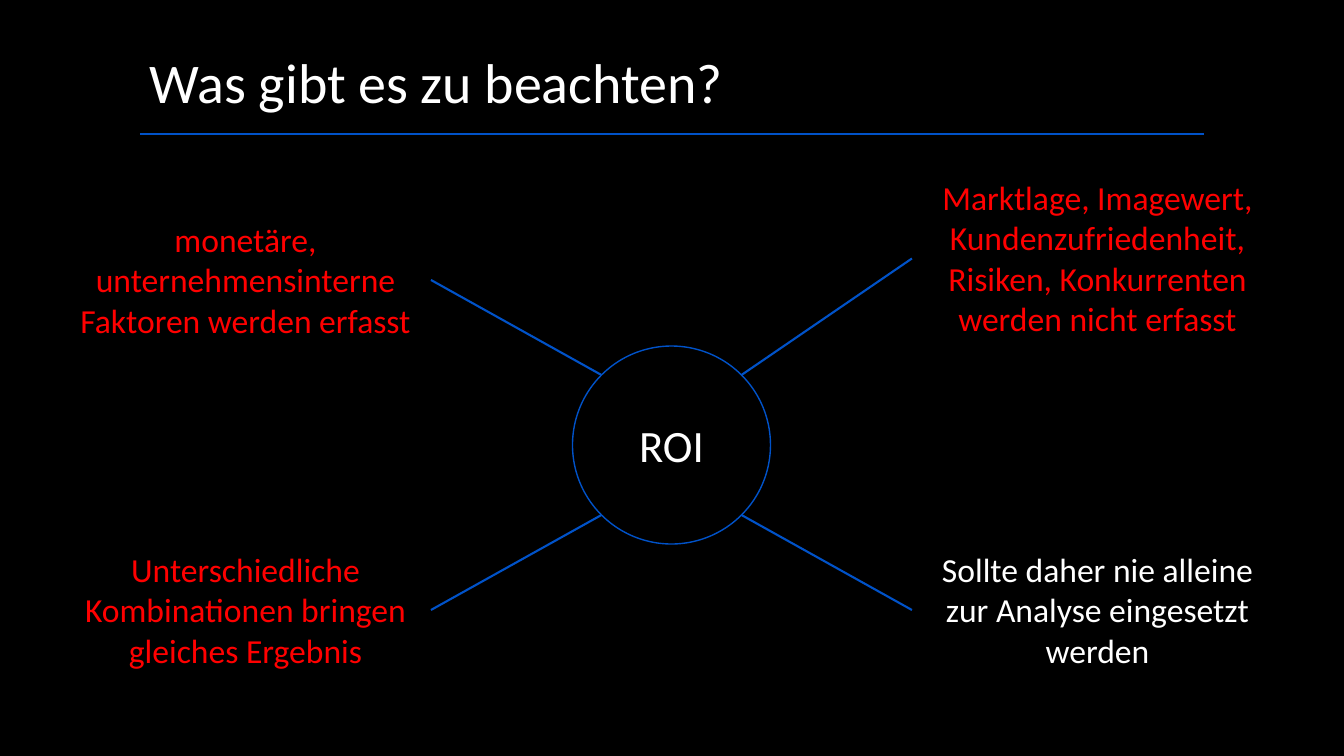
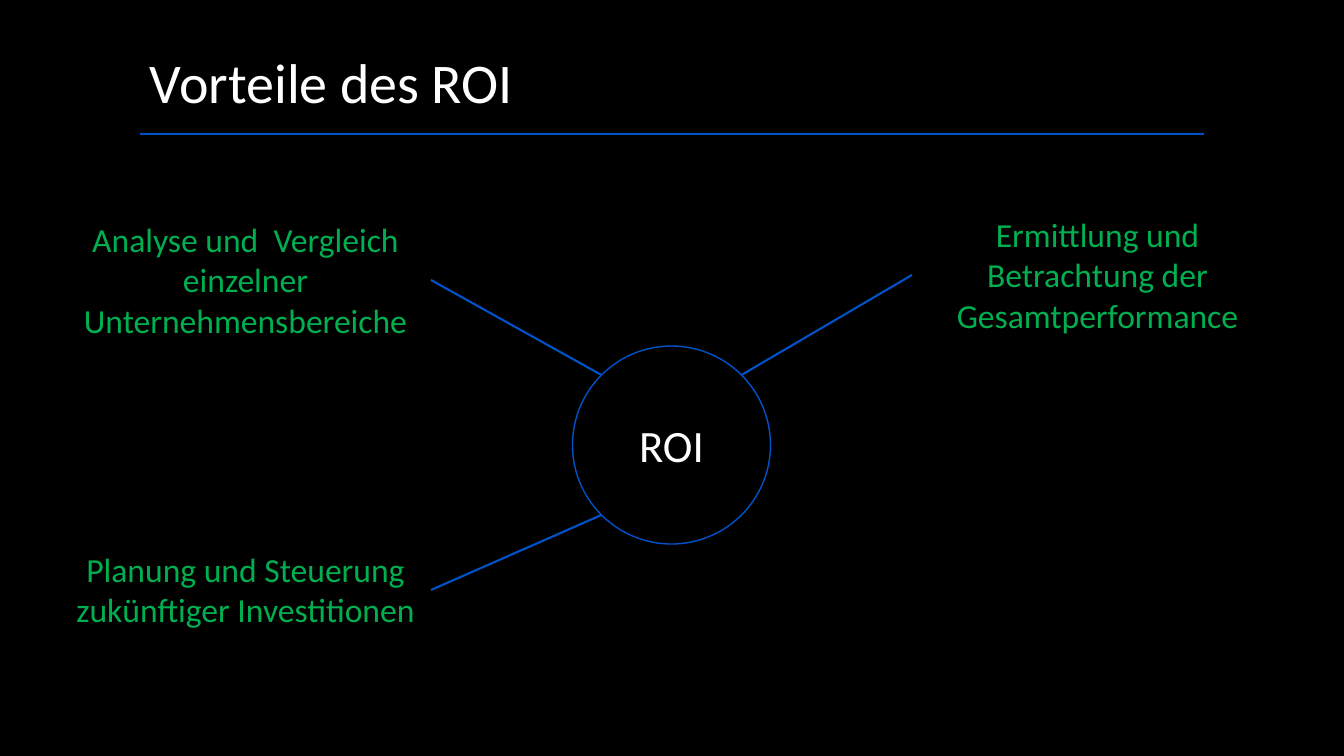
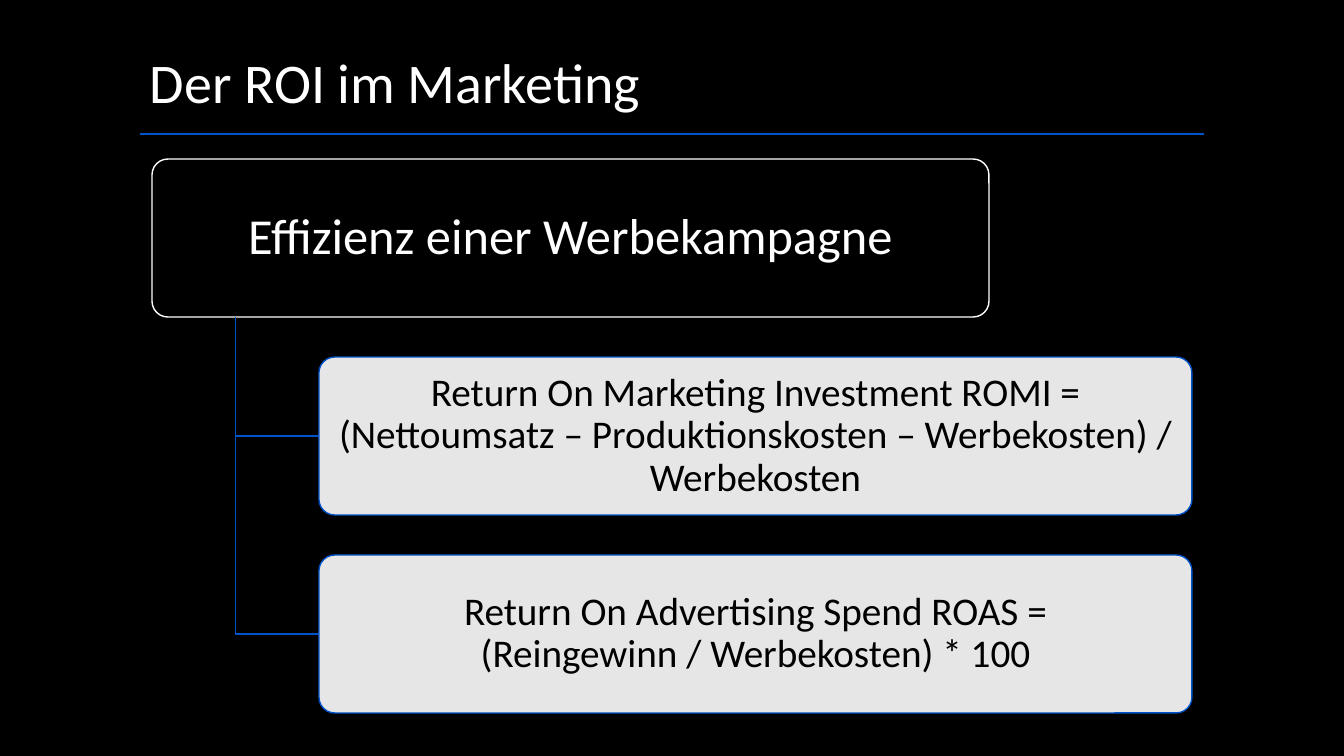
from collections import namedtuple
from math import sqrt

from lxml.etree import SubElement
from pptx import Presentation
from pptx.dml.color import RGBColor
from pptx.enum.shapes import MSO_CONNECTOR, MSO_SHAPE
from pptx.enum.text import MSO_ANCHOR, MSO_AUTO_SIZE, PP_ALIGN
from pptx.oxml.ns import qn
from pptx.util import Inches, Pt

Box = namedtuple("Box", "left top width height")

PX = Inches(7.5) / 756
BLACK = RGBColor(0x00, 0x00, 0x00)
WHITE = RGBColor(0xFF, 0xFF, 0xFF)
BLUE = RGBColor(0x00, 0x52, 0xC8)
RED = RGBColor(0xFF, 0x00, 0x00)
GREEN = RGBColor(0x00, 0xB0, 0x50)
FONT = "Calibri"

HEADER = Box(140, 43, 1064, 91)
TITLE_SIZE = (816, 78)
MAP = Box(60, 172, 1223, 546)
NOTE_WIDTH = 371
HUB = 198
TREE = Box(152, 159, 1040, 554)
CARD_HEIGHT = 158
CARD_GAP = 40
GROWING = {"word_wrap": True, "auto_size": MSO_AUTO_SIZE.SHAPE_TO_FIT_TEXT}


def px(length):
    """Turn px into EMU."""
    return round(length * PX)


def emu(box):
    """Turn a box in px into EMU lengths."""
    return [px(length) for length in box]


def apply(target, values):
    """Set each named value on the target."""
    for name, value in values.items():
        setattr(target, name, value)


def write(shape, text, size, color, frame_format, paragraph_format):
    """Write one formatted paragraph into a shape."""
    apply(shape.text_frame, frame_format)
    paragraph = shape.text_frame.paragraphs[0]
    paragraph.text = text
    apply(paragraph, paragraph_format)
    for run in paragraph.runs:
        apply(run.font, {"name": FONT, "size": Pt(size)})
        run.font.color.rgb = color


def outline(shape, color):
    """Give a shape a thin outline and no shadow."""
    shape.shadow.inherit = False
    shape.line.color.rgb = color
    shape.line.width = Pt(1)


def add_line(slide, start, end):
    """Draw a straight blue line between two points."""
    line = slide.shapes.add_connector(MSO_CONNECTOR.STRAIGHT, *emu(start), *emu(end))
    line.line.color.rgb = BLUE
    line.line.width = Pt(1.5)
    SubElement(line._element.spPr, qn("a:effectLst"))
    return line


def add_header(slide, box, title):
    """Place the title above its rule."""
    rule_y = box.top + box.height
    add_line(slide, (box.left, rule_y), (box.left + box.width, rule_y))
    heading = slide.shapes.add_textbox(*emu((box.left, box.top, *TITLE_SIZE)))
    write(heading, title, 40, WHITE, GROWING, {"alignment": PP_ALIGN.LEFT})


def add_hub(slide, box, label):
    """Place the labelled circle in the middle of the box."""
    left = box.left + (box.width - HUB) / 2
    top = box.top + (box.height - HUB) / 2
    hub = slide.shapes.add_shape(MSO_SHAPE.OVAL, *emu((left, top, HUB, HUB)))
    hub.fill.background()
    outline(hub, BLUE)
    write(hub, label, 32, WHITE, {"vertical_anchor": MSO_ANCHOR.MIDDLE},
          {"alignment": PP_ALIGN.CENTER})


def add_note(slide, box, side, half, top, height, text, color):
    """Place a note in one corner and join it to the hub."""
    left = box.left if side < 0 else box.left + box.width - NOTE_WIDTH
    note = slide.shapes.add_textbox(*emu((left, box.top + top, NOTE_WIDTH, height)))
    write(note, text, 24, color, GROWING, {"alignment": PP_ALIGN.CENTER})
    reach = HUB / 2 / sqrt(2)
    hub_point = (box.left + box.width / 2 + side * reach,
                 box.top + box.height / 2 + half * reach)
    spoke = add_line(slide, (left, box.top + top), hub_point)
    spoke.begin_connect(note, 3 if side < 0 else 1)


def add_map_slide(slide, box, notes):
    """Place the hub and the notes around it."""
    add_hub(slide, box, "ROI")
    for note in notes:
        add_note(slide, box, *note)


def add_card(slide, box, text, size, color, line_color, margins):
    """Place a rounded card with centred text."""
    card = slide.shapes.add_shape(MSO_SHAPE.ROUNDED_RECTANGLE, *emu(box))
    card.adjustments[0] = 0.1
    card.fill.background()
    outline(card, line_color)
    across, down = emu(margins)
    write(card, text, size, color,
          {"word_wrap": True, "vertical_anchor": MSO_ANCHOR.MIDDLE,
           "margin_left": across, "margin_right": across,
           "margin_top": down, "margin_bottom": down},
          {"alignment": PP_ALIGN.CENTER, "line_spacing": 0.9})
    return card


def add_branch(slide, trunk_x, trunk_top, box):
    """Draw the elbow from the trunk to the left side of a card."""
    middle = box.top + box.height / 2
    builder = slide.shapes.build_freeform(*emu((trunk_x, trunk_top)))
    builder.add_line_segments(
        [emu((trunk_x, middle)), emu((box.left, middle))], close=False)
    branch = builder.convert_to_shape()
    branch.fill.background()
    outline(branch, BLUE)


def add_tree_slide(slide, box, topic, formulas):
    """Place the topic card with its formula cards below."""
    root = Box(box.left, box.top, 837, CARD_HEIGHT)
    add_card(slide, root, topic, 36, WHITE, WHITE, (7, 5))
    indent = 167
    for row, formula in enumerate(formulas, 1):
        leaf = Box(box.left + indent, box.top + row * (CARD_HEIGHT + CARD_GAP),
                   box.width - indent, CARD_HEIGHT)
        add_branch(slide, box.left + indent / 2, root.top + root.height, leaf)
        card = add_card(slide, leaf, formula, 28, BLACK, BLUE, (6, 4))
        card.fill.solid()
        card.fill.fore_color.rgb = WHITE
        tint = card._element.spPr.find(qn("a:solidFill")).find(qn("a:srgbClr"))
        SubElement(tint, qn("a:alpha"), val="90000")


LIMITS = [
    (-1, -1, 42, 132, "monetäre, unternehmensinterne Faktoren werden erfasst", RED),
    (1, -1, 0, 173, "Marktlage, Imagewert, Kundenzufriedenheit, Risiken, "
     "Konkurrenten werden nicht erfasst", RED),
    (-1, 1, 372, 132, "Unterschiedliche Kombinationen bringen gleiches Ergebnis", RED),
    (1, 1, 372, 132, "Sollte daher nie alleine zur Analyse eingesetzt werden", WHITE),
]
BENEFITS = [
    (-1, -1, 42, 132, "Analyse und  Vergleich einzelner Unternehmensbereiche", GREEN),
    (1, -1, 37, 132, "Ermittlung und Betrachtung der Gesamtperformance", GREEN),
    (-1, 1, 372, 92, "Planung und Steuerung zukünftiger Investitionen", GREEN),
]
FORMULAS = [
    "Return On Marketing Investment ROMI = "
    "(Nettoumsatz – Produktionskosten – Werbekosten) / Werbekosten",
    "Return On Advertising Spend ROAS =\n(Reingewinn / Werbekosten) * 100",
]
SLIDES = [
    ("Was gibt es zu beachten?", add_map_slide, (MAP, LIMITS)),
    ("Vorteile des ROI", add_map_slide, (MAP, BENEFITS)),
    ("Der ROI im Marketing", add_tree_slide,
     (TREE, "Effizienz einer Werbekampagne", FORMULAS)),
]


def main():
    """Build and save the presentation."""
    deck = Presentation()
    apply(deck, {"slide_width": px(1344), "slide_height": px(756)})
    backdrop = deck.slide_master.background.fill
    backdrop.solid()
    backdrop.fore_color.rgb = BLACK
    for title, add_content, content in SLIDES:
        slide = deck.slides.add_slide(deck.slide_layouts[6])
        add_header(slide, HEADER, title)
        add_content(slide, *content)
    deck.save("out.pptx")


if __name__ == "__main__":
    main()
